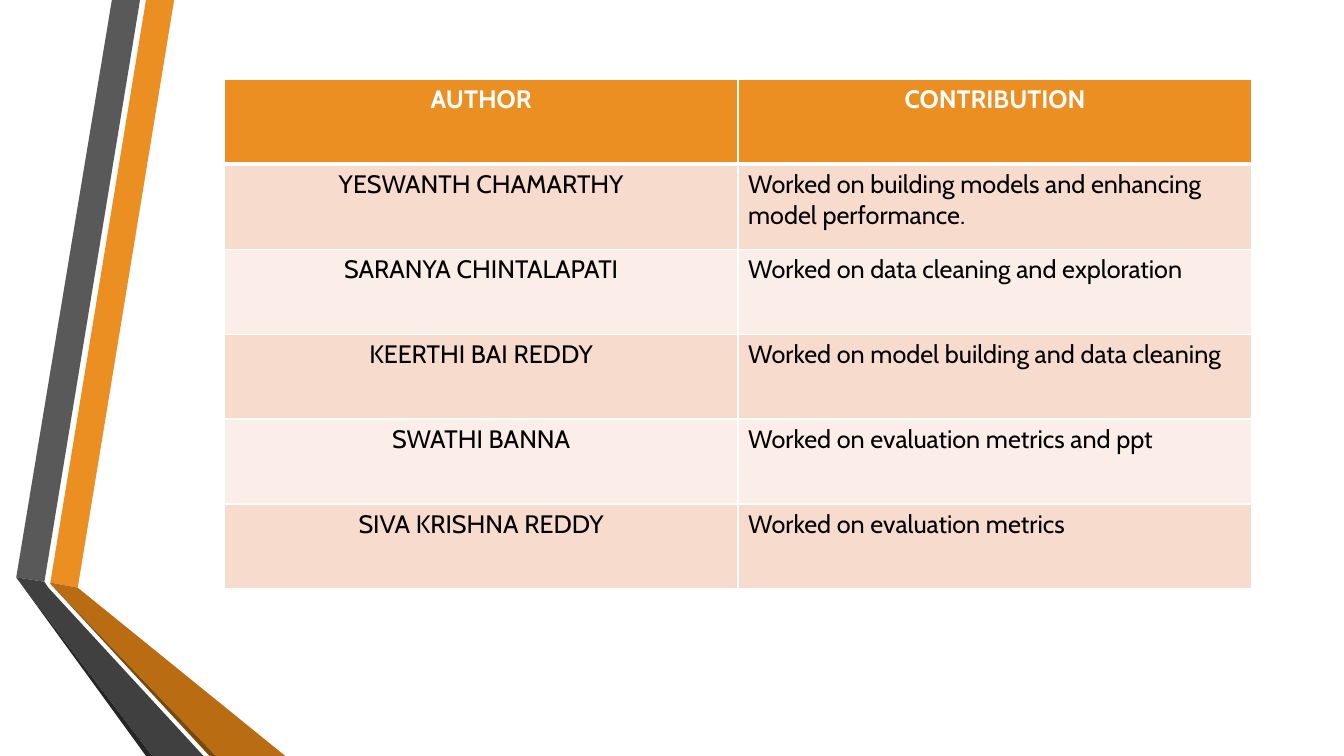
from lxml import etree
from pptx import Presentation
from pptx.dml.color import RGBColor
from pptx.enum.text import PP_ALIGN
from pptx.oxml.ns import qn
from pptx.util import Cm, Pt

CENTER, LEFT = PP_ALIGN.CENTER, PP_ALIGN.LEFT
FONT = "Cabin"
WHITE, BLACK = "FFFFFF", "000000"
HEADER_FILL = "EB8F22"
BAND_FILLS = ("FBEEE8", "F7DBCD")

ROWS = [
    ("AUTHOR", "CONTRIBUTION"),
    ("YESWANTH CHAMARTHY", "Worked on building models and enhancing model performance."),
    ("SARANYA CHINTALAPATI", "Worked on data cleaning and exploration"),
    ("KEERTHI BAI REDDY", "Worked on model building and data cleaning"),
    ("SWATHI BANNA", "Worked on evaluation metrics and ppt"),
    ("SIVA KRISHNA REDDY", "Worked on evaluation metrics"),
]
TABLE_LEFT, TABLE_TOP, COL_WIDTH, ROW_HEIGHT = 5.65, 2, 12.95, 2.14

# Ribbon fill and corner points in cm; the dark edges lie on top
RIBBONS = [
    ("EB8F22", [(1.27, 14.68), (1.96, 14.81), (4.39, 0), (3.68, 0)]),
    ("595959", [(3.53, 0), (2.82, 0), (0.41, 14.55), (1.12, 14.66)]),
    ("B96C11", [(1.27, 14.71), (5.44, 19.05), (7.19, 19.05), (1.96, 14.81),
                (1.27, 14.68)]),
    ("404040", [(5.13, 19.05), (1.22, 14.81), (1.12, 14.66), (0.41, 14.55),
                (3.84, 19.05)]),
    ("262626", [(0.41, 14.55), (3.68, 19.05), (3.84, 19.05)]),
    ("7B480B", [(1.27, 14.71), (5.28, 19.05), (5.44, 19.05)]),
]


def paint(fill, color):
    fill.solid()
    fill.fore_color.rgb = RGBColor.from_string(color)


def add_ribbon(s, color, points):
    corners = [(Cm(x), Cm(y)) for x, y in points]
    builder = s.shapes.build_freeform(*corners[0])
    builder.add_line_segments(corners[1:], close=True)
    ribbon = builder.convert_to_shape()
    ribbon.shadow.inherit = False
    paint(ribbon.fill, color)
    ribbon.line.fill.background()


def set_borders(cell, widths):
    """Draw white cell borders; widths maps L, R, T, B to points."""
    tc_pr = cell._tc.get_or_add_tcPr()
    for side, width in widths.items():
        ln = etree.SubElement(tc_pr, qn(f"a:ln{side}"), w=str(Pt(width)))
        solid = etree.SubElement(ln, qn("a:solidFill"))
        etree.SubElement(solid, qn("a:srgbClr"), val=WHITE)


def add_contributions(s):
    n_rows, n_cols = len(ROWS), len(ROWS[0])
    frame = s.shapes.add_table(n_rows, n_cols, Cm(TABLE_LEFT), Cm(TABLE_TOP),
                               Cm(COL_WIDTH * n_cols), Cm(ROW_HEIGHT * n_rows))
    table = frame.table
    for col in table.columns:
        col.width = Cm(COL_WIDTH)
    for i, texts in enumerate(ROWS):
        table.rows[i].height = Cm(ROW_HEIGHT)
        header = i == 0
        for j, text in enumerate(texts):
            cell = table.cell(i, j)
            set_borders(cell, {"L": 1, "R": 1, "T": 3 if i == 1 else 1,
                               "B": 3 if header else 1})
            paint(cell.fill, HEADER_FILL if header else BAND_FILLS[i % 2])
            cell.text = text
            p = cell.text_frame.paragraphs[0]
            p.alignment = CENTER if header or j == 0 else LEFT
            p.font.name = FONT
            p.font.size = Pt(18)
            p.font.bold = header
            p.font.color.rgb = RGBColor.from_string(WHITE if header else BLACK)


def main():
    prs = Presentation()
    prs.slide_width, prs.slide_height = Cm(33.87), Cm(19.05)
    s = prs.slides.add_slide(prs.slide_layouts[6])
    for color, points in RIBBONS:
        add_ribbon(s, color, points)
    add_contributions(s)
    prs.save("out.pptx")


if __name__ == "__main__":
    main()
